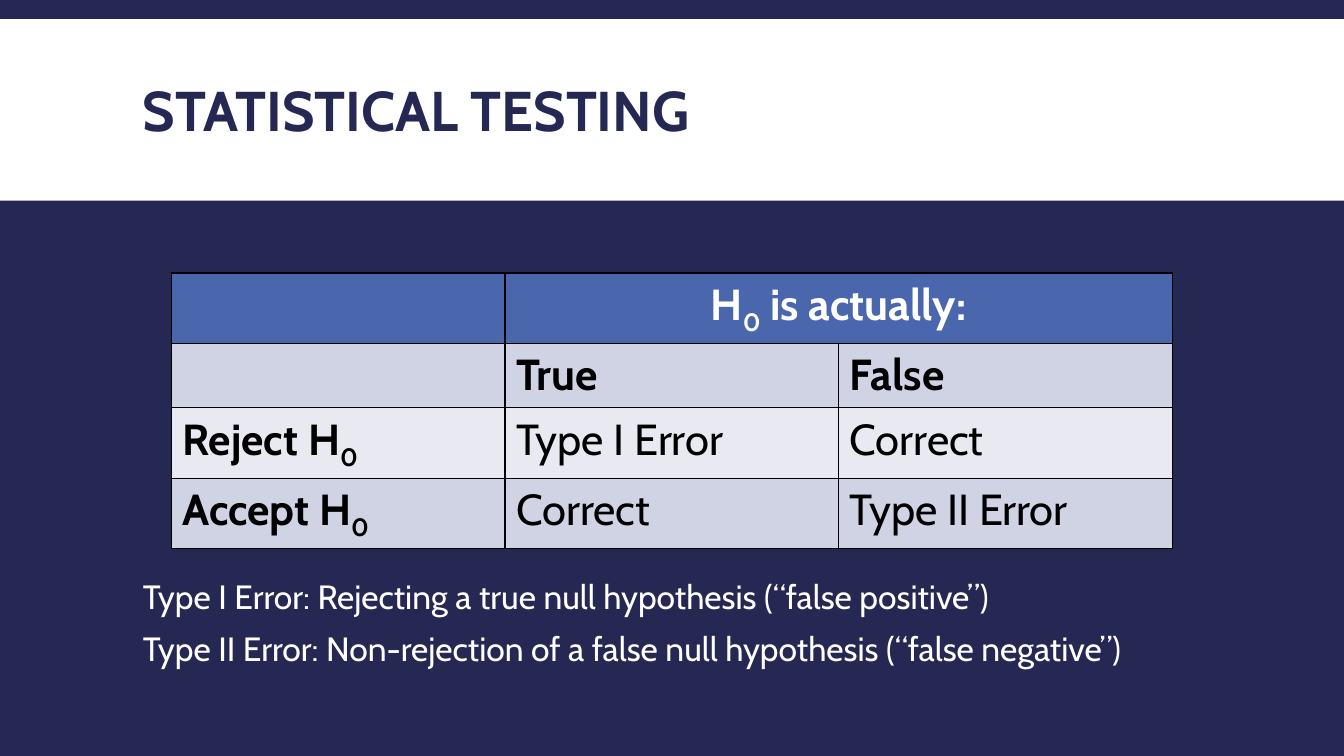
from lxml.etree import SubElement
from pptx import Presentation
from pptx.dml.color import RGBColor
from pptx.enum.shapes import MSO_SHAPE
from pptx.enum.text import MSO_ANCHOR, PP_ALIGN
from pptx.oxml.ns import qn
from pptx.util import Pt

COLORS = {
    "navy": "242852",
    "white": "FFFFFF",
    "black": "000000",
    "header": "4A66AC",
    "band": "D0D3E3",
    "light": "E9EAF1",
}
FONT = "Cabin"

# Each cell is a list of runs: (text, is_subscript)
H0 = [("H", False), ("0", True)]
ROWS = [
    [[], H0 + [(" is actually:", False)], []],
    [[], [("True", False)], [("False", False)]],
    [[("Reject ", False)] + H0, [("Type I Error", False)], [("Correct", False)]],
    [[("Accept ", False)] + H0, [("Correct", False)], [("Type II Error", False)]],
]
ROW_FILLS = ["header", "band", "light", "band"]
DEFINITIONS = [
    "Type I Error: Rejecting a true null hypothesis (“false positive”)",
    "Type II Error: Non-rejection of a false null hypothesis (“false negative”)",
]


def rgb(name):
    return RGBColor.from_string(COLORS[name])


def add_run(p, text, size, color, bold=False, subscript=False):
    r = p.add_run()
    r.text = text
    r.font.name = FONT
    r.font.size = Pt(size)
    r.font.bold = bold
    r.font.color.rgb = rgb(color)
    if subscript:
        r.font._element.set("baseline", "-25000")


def add_text_frame(s, x, y, w, h, anchor):
    tf = s.shapes.add_textbox(Pt(x), Pt(y), Pt(w), Pt(h)).text_frame
    tf.word_wrap = True
    tf.vertical_anchor = anchor
    return tf


def add_title_band(s, x, y, w, h):
    # White band across the slide
    sp = s.shapes.add_shape(MSO_SHAPE.RECTANGLE, Pt(x), Pt(y), Pt(w), Pt(h))
    sp.shadow.inherit = False
    sp.fill.solid()
    sp.fill.fore_color.rgb = rgb("white")
    sp.line.fill.background()

    # Title
    tf = add_text_frame(s, x + 95, y + 8.5, w - 190, h - 11, MSO_ANCHOR.MIDDLE)
    p = tf.paragraphs[0]
    p.line_spacing = 0.85
    add_run(p, "STATISTICAL TESTING", 40, "navy", bold=True)


def add_borders(cell):
    tcPr = cell._tc.get_or_add_tcPr()
    for side in ("lnL", "lnR", "lnT", "lnB"):
        ln = SubElement(tcPr, qn(f"a:{side}"), w=str(Pt(1)))
        fill = SubElement(ln, qn("a:solidFill"))
        SubElement(fill, qn("a:srgbClr"), val=COLORS["black"])


def add_error_table(s, x, y, w, h):
    n_rows, n_cols = len(ROWS), len(ROWS[0])
    table = s.shapes.add_table(n_rows, n_cols, Pt(x), Pt(y), Pt(w), Pt(h)).table
    for col in table.columns:
        col.width = Pt(w / n_cols)
    for row in table.rows:
        row.height = Pt(h / n_rows)
    table.cell(0, 1).merge(table.cell(0, 2))

    for i, row in enumerate(ROWS):
        for j, runs in enumerate(row):
            cell = table.cell(i, j)
            add_borders(cell)
            cell.fill.solid()
            cell.fill.fore_color.rgb = rgb(ROW_FILLS[i])
            cell.margin_left = cell.margin_right = Pt(8)
            cell.margin_top = cell.margin_bottom = Pt(4)
            p = cell.text_frame.paragraphs[0]
            if i == 0:
                p.alignment = PP_ALIGN.CENTER
            for text, subscript in runs:
                add_run(p, text, 31, "white" if i == 0 else "black",
                        bold=i < 2 or j == 0, subscript=subscript)


def add_definitions(s, x, y, w, h):
    tf = add_text_frame(s, x, y, w, h, MSO_ANCHOR.TOP)
    for i, text in enumerate(DEFINITIONS):
        p = tf.add_paragraph() if i else tf.paragraphs[0]
        p.line_spacing = 0.8
        p.space_before = Pt(12)
        p.space_after = Pt(2)
        add_run(p, text, 24, "white")


def main():
    prs = Presentation()
    prs.slide_width, prs.slide_height = Pt(960), Pt(540)
    s = prs.slides.add_slide(prs.slide_layouts[6])
    s.background.fill.solid()
    s.background.fill.fore_color.rgb = rgb("navy")

    add_title_band(s, 0, 13.7, 960, 129.6)
    add_definitions(s, 95, 413.3, 770, 72)
    add_error_table(s, 122.4, 195, 715, 183.6)
    prs.save("out.pptx")


if __name__ == "__main__":
    main()
